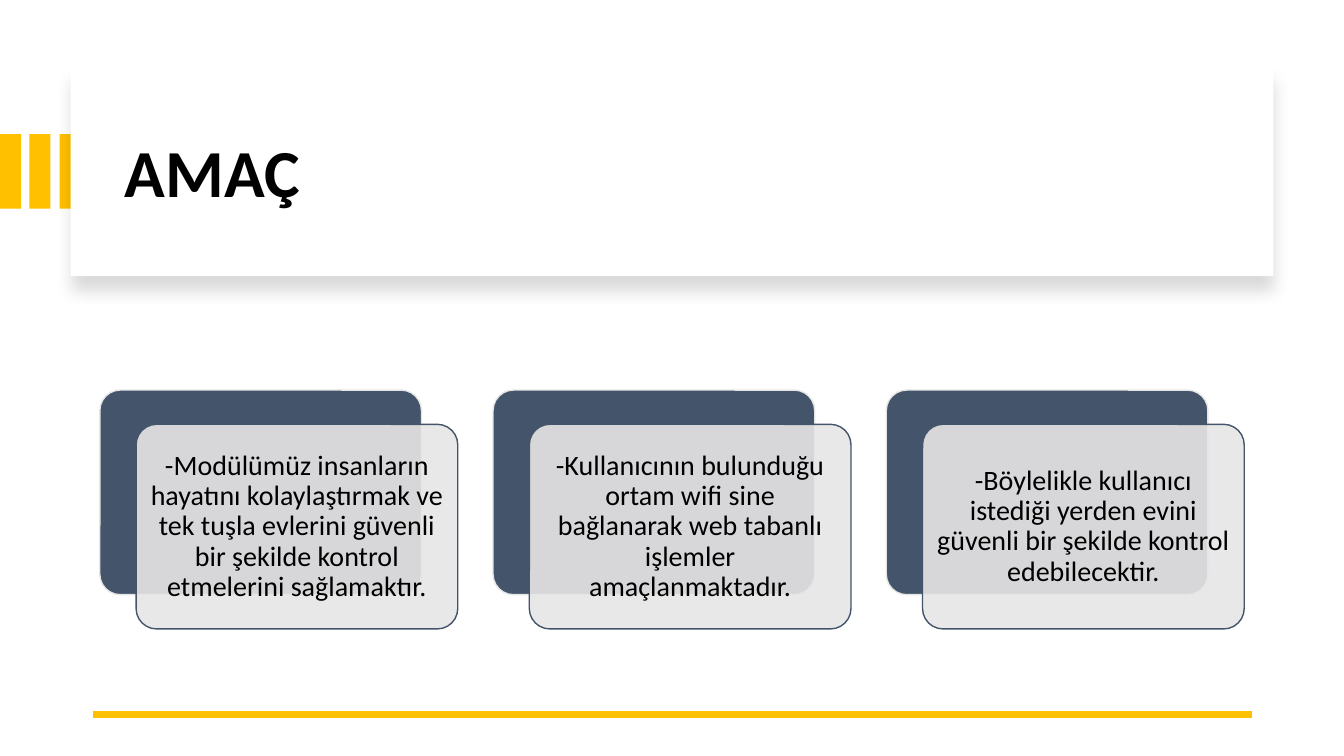
from lxml import etree
from pptx import Presentation
from pptx.dml.color import RGBColor
from pptx.enum.shapes import MSO_CONNECTOR, MSO_SHAPE
from pptx.enum.text import MSO_ANCHOR as ANCHOR, PP_ALIGN as ALIGN
from pptx.oxml import parse_xml
from pptx.oxml.ns import nsdecls, qn
from pptx.util import Pt

PX = 9144
GOLD, NAVY, GREY, WHITE, BLACK = "FFC000", "44546A", "E7E6E6", "FFFFFF", "000000"
GOALS = [
    "-Modülümüz insanların hayatını kolaylaştırmak ve tek tuşla evlerini güvenli "
    "bir şekilde kontrol etmelerini sağlamaktır.",
    "-Kullanıcının bulunduğu ortam wifi sine bağlanarak web tabanlı işlemler "
    "amaçlanmaktadır.",
    "-Böylelikle kullanıcı istediği yerden evini güvenli bir şekilde kontrol "
    "edebilecektir.",
]


def px(*lengths):
    """Turn lengths in px into EMU."""
    return [n * PX for n in lengths]


def rgb(color):
    """Turn a hex string into a colour."""
    return RGBColor.from_string(color)


def add_box(shapes, x, y, w, h, fill, line=None, kind=MSO_SHAPE.RECTANGLE):
    """Add a filled shape, outlined only if a line colour is given."""
    sp = shapes.add_shape(kind, *px(x, y, w, h))
    sp.shadow.inherit = False
    sp.fill.solid()
    sp.fill.fore_color.rgb = rgb(fill)
    if line:
        sp.line.color.rgb = rgb(line)
        sp.line.width = Pt(1)
    else:
        sp.line.fill.background()
    return sp


def add_text(shapes, x, y, w, h, text, size, inset, bold=False, align=ALIGN.LEFT):
    """Add a wrapped, vertically centred text box."""
    tf = shapes.add_textbox(*px(x, y, w, h)).text_frame
    tf.word_wrap = True
    tf.vertical_anchor = ANCHOR.MIDDLE
    tf.margin_left = tf.margin_right = inset[0] * PX
    tf.margin_top = tf.margin_bottom = inset[1] * PX
    p = tf.paragraphs[0]
    p.text = text
    p.alignment = align
    p.line_spacing = 0.9
    font = p.runs[0].font
    font.name, font.size, font.bold = "Calibri", Pt(size), bold
    font.color.rgb = rgb(BLACK)


def add_shadow(sp):
    """Give a shape a soft shadow that falls downwards."""
    effects = sp._element.spPr.find(qn("a:effectLst"))
    effects.append(parse_xml(
        f'<a:outerShdw {nsdecls("a")} blurRad="{Pt(11)}" dist="{Pt(10)}" '
        'dir="5400000" algn="t" rotWithShape="0">'
        f'<a:srgbClr val="{BLACK}"><a:alpha val="15000"/></a:srgbClr></a:outerShdw>'))


def add_stripes(s, x, y, w, h):
    """Add three gold bars, spread from side to side of the box."""
    bar = 21
    group = s.shapes.add_group_shape()
    for i in range(3):
        add_box(group.shapes, x + i * (w - bar) // 2, y, bar, h, GOLD)


def add_header(s, x, y, w, h, title):
    """Add the shadowed title panel."""
    add_shadow(add_box(s.shapes, x, y, w, h, WHITE))
    add_text(s.shapes, x + 44, y + 22, w - 80, h - 37, title, 48, (10, 5), bold=True)


def add_goal(shapes, x, y, w, h, text):
    """Add a navy card with a translucent text card laid over it."""
    dx, dy, pad = 36, 34, 6
    size = w - dx, h - dy
    back = add_box(shapes, x, y, *size, NAVY, GREY, MSO_SHAPE.ROUNDED_RECTANGLE)
    front = add_box(shapes, x + dx, y + dy, *size, GREY, NAVY,
                    MSO_SHAPE.ROUNDED_RECTANGLE)
    for card in (back, front):
        card.adjustments[0] = 0.1
    color = front._element.spPr.find(qn("a:solidFill"))[0]
    etree.SubElement(color, qn("a:alpha"), val="90000")
    add_text(shapes, x + dx + pad, y + dy + pad, size[0] - 2 * pad, size[1] - 2 * pad,
             text, 20, (8, 8), align=ALIGN.CENTER)


def add_goals(s, x, y, w, h, goals):
    """Add the goals in equal columns across the box."""
    gap = 35
    card_w = (w - gap * (len(goals) - 1)) // len(goals)
    group = s.shapes.add_group_shape()
    for i, text in enumerate(goals):
        add_goal(group.shapes, x + i * (card_w + gap), y, card_w, h, text)


def add_rule(s, x, y, w):
    """Add the gold line at the foot of the slide."""
    cx = s.shapes.add_connector(MSO_CONNECTOR.STRAIGHT, *px(x + w, y, x, y))
    cx.line.color.rgb = rgb(GOLD)
    cx.line.width = Pt(4.5)
    etree.SubElement(cx._element.spPr, qn("a:effectLst"))


def main():
    """Build the slide and save it."""
    prs = Presentation()
    prs.slide_width, prs.slide_height = px(1333, 750)
    s = prs.slides.add_slide(prs.slide_layouts[6])
    add_stripes(s, 0, 133, 80, 74)
    add_header(s, 70, 67, 1193, 207, "AMAÇ")
    add_rule(s, 92, 709, 1150)
    add_goals(s, 99, 387, 1135, 237, GOALS)
    prs.save("out.pptx")


if __name__ == "__main__":
    main()
